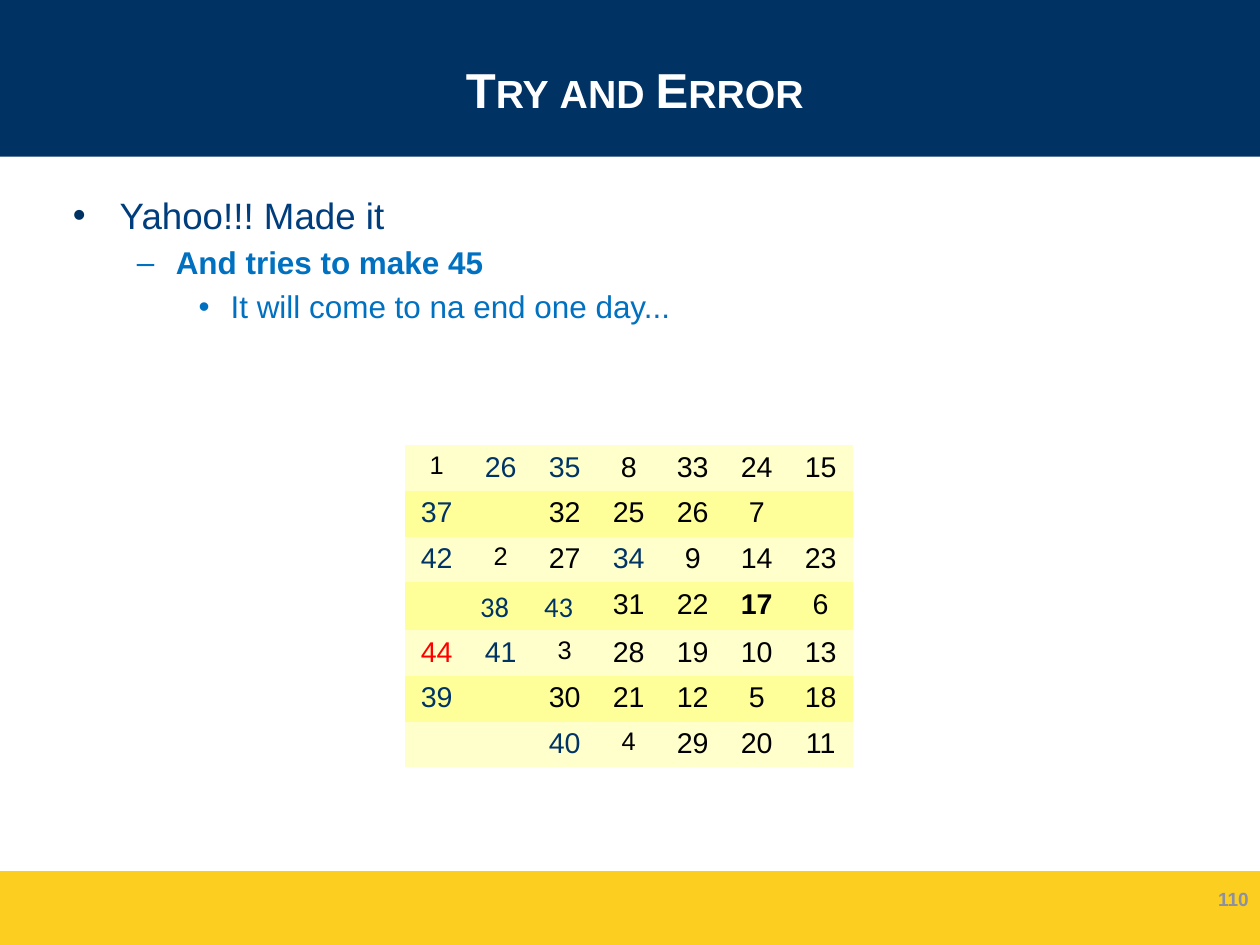
"""Build the "Try and Error" slide with its number-path board."""
from lxml.etree import SubElement
from pptx import Presentation
from pptx.dml.color import RGBColor
from pptx.enum.shapes import MSO_SHAPE
from pptx.enum.text import MSO_ANCHOR, MSO_AUTO_SIZE, PP_ALIGN
from pptx.oxml.ns import qn
from pptx.util import Cm, Inches, Pt

deck = Presentation()
deck.slide_width, deck.slide_height = Cm(28), Cm(21)
slide = deck.slides.add_slide(deck.slide_layouts[1])


def box(left, top, width, height):
    """Turn percentages of the slide into lengths."""
    across, down = deck.slide_width / 100, deck.slide_height / 100
    return [int(left * across), int(top * down), int(width * across), int(height * down)]


def write(paragraph, text, color, **formats):
    """Add a run with the given font attributes."""
    run = paragraph.add_run()
    run.text = text
    for attribute, value in {"name": "Arial", "bold": False, **formats}.items():
        setattr(run.font, attribute, value)
    run.font.color.rgb = RGBColor.from_string(color)
    return run


bands = [("003264", 0, 16.57), ("FBCE20", 92.2, 7.8)]
for color, top, height in bands:
    band = slide.shapes.add_shape(MSO_SHAPE.RECTANGLE, *box(0, top, 100, height))
    band.shadow.inherit = False
    band.fill.solid()
    band.fill.fore_color.rgb = RGBColor.from_string(color)
    band.line.fill.background()
    slide.shapes.element.insert(2, band.element)

heading = slide.shapes.title
heading.left, heading.top, heading.width, heading.height = box(4.88, 2.18, 91.02, 14.39)
heading.text_frame.vertical_anchor = MSO_ANCHOR.MIDDLE
heading.text_frame.auto_size = MSO_AUTO_SIZE.NONE
headline = heading.text_frame.paragraphs[0]
headline.alignment = PP_ALIGN.CENTER
caption = write(headline, "Try and Error", "FFFFFF", size=Pt(30.9), bold=True)
caption.font._element.set("cap", "small")

story = slide.placeholders[1]
story.left, story.top, story.width, story.height = box(4.88, 19.83, 91.02, 72.91)
story.text_frame.auto_size = MSO_AUTO_SIZE.NONE
points = [
    ("Yahoo!!! Made it", "003D7C", "003264", 23.1, False, "•", 0.41, -0.41),
    ("And tries to make 45", "0070C0", "0070C0", 19.8, True, "–", 0.9, -0.34),
    ("It will come to na end one day...", "0070C0", "0070C0", 19.8, False, "•", 1.38, -0.28),
]
for level, (text, color, mark_color, size, bold, mark, margin, indent) in enumerate(points):
    point = story.text_frame.add_paragraph() if level else story.text_frame.paragraphs[0]
    point.level = level
    write(point, text, color, size=Pt(size), bold=bold)
    layout = point._p.get_or_add_pPr()
    layout.set("marL", str(Inches(margin)))
    layout.set("indent", str(Inches(indent)))
    SubElement(SubElement(layout, qn("a:spcBef")), qn("a:spcPct")).set("val", "20000")
    SubElement(SubElement(layout, qn("a:buClr")), qn("a:srgbClr")).set("val", mark_color)
    SubElement(layout, qn("a:buChar")).set("char", mark)

page = slide.shapes.add_textbox(*box(76.68, 92.62, 23.32, 5.32)).text_frame
page.word_wrap = True
page.vertical_anchor = MSO_ANCHOR.MIDDLE
page_line = page.paragraphs[0]
page_line.alignment, page_line.line_spacing = PP_ALIGN.RIGHT, 0.93
write(page_line, "110", "8C90A0", size=Pt(12), bold=True)

numbers = [
    [1, 26, 35, 8, 33, 24, 15],
    [37, None, 32, 25, 26, 7, None],
    [42, 2, 27, 34, 9, 14, 23],
    [None, 38, 43, 31, 22, 17, 6],
    [44, 41, 3, 28, 19, 10, 13],
    [39, None, 30, 21, 12, 5, 18],
    [None, None, 40, 4, 29, 20, 11],
]
looks = ["sttnnnn", "t.nnnn.", "tsntnnn", ".ccnnbn", "rtsnnnn", "t.nnnnn", "..tsnnn"]
styles = {
    "n": {"color": "000000", "size": Pt(18)},
    "s": {"color": "000000", "size": Pt(16)},
    "b": {"color": "000000", "size": Pt(18), "bold": True},
    "t": {"color": "003366", "size": Pt(18)},
    "r": {"color": "FF0000", "size": Pt(18)},
    "c": {"color": "003366", "size": Pt(18), "name": "Calibri"},
}
insets = {"margin_left": 0.1, "margin_top": 0.07, "margin_right": 0.1, "margin_bottom": 0.05}
board = slide.shapes.add_table(7, 7, *box(32.12, 47.12, 35.57, 29.62)).table
board.first_row = board.horz_banding = False
for row, values in enumerate(numbers):
    for column, value in enumerate(values):
        square = board.cell(row, column)
        edges = square._tc.get_or_add_tcPr()
        for side in "LRTB":
            edge = SubElement(edges, qn(f"a:ln{side}"), w="381")
            SubElement(SubElement(edge, qn("a:solidFill")), qn("a:srgbClr")).set("val", "FFFFFF")
        square.fill.solid()
        square.fill.fore_color.rgb = RGBColor.from_string("FFFF99" if row % 2 else "FFFFCC")
        if value is None:
            continue
        for attribute, inset in insets.items():
            setattr(square, attribute, Inches(inset))
        look = looks[row][column]
        entry = square.text_frame.paragraphs[0]
        if look != "c":
            entry.alignment, entry.line_spacing = PP_ALIGN.CENTER, 0.93
        number = write(entry, str(value), **styles[look])
        ending = SubElement(entry._p, qn("a:endParaRPr"), sz=str(int(number.font.size.pt * 100)))
        SubElement(ending, qn("a:latin"), typeface=number.font.name)

deck.save("out.pptx")
